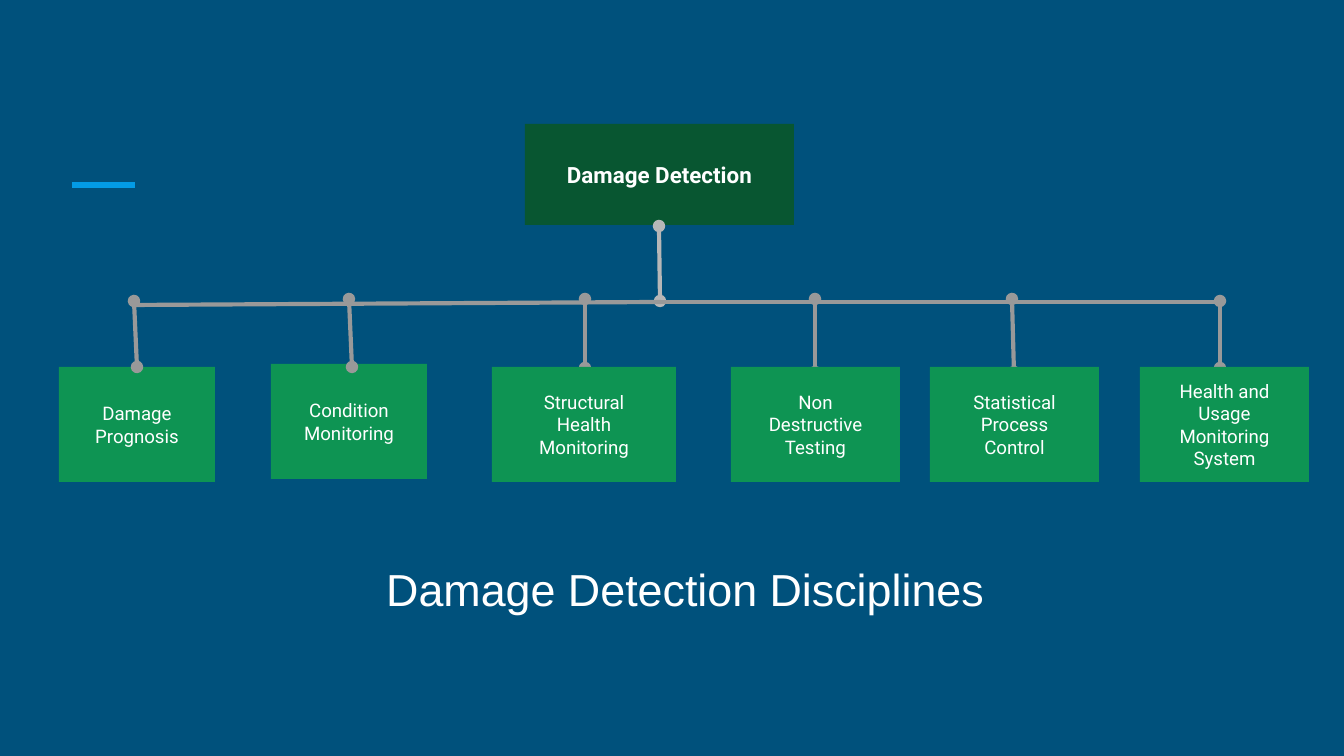
from lxml.etree import SubElement
from pptx import Presentation
from pptx.dml.color import RGBColor
from pptx.enum.shapes import MSO_CONNECTOR, MSO_SHAPE
from pptx.enum.text import MSO_ANCHOR, MSO_AUTO_SIZE, PP_ALIGN
from pptx.oxml.ns import qn
from pptx.util import Emu, Pt

EMU_PER_PX = 914400 / 134.4
INSET = 13
BACKGROUND, ACCENT, WHITE = "00517C", "039BE5", "FFFFFF"
ROOT_GREEN, GREEN = "085631", "0E9453"
STEM_GRAY, GRAY = "B7B7B7", "999999"

ROOT_BOX = (525, 124, 269, 101)
BOX_TOP, BOX_HEIGHT = 367, 115
BUS_START = (661, 302)
BUS_ENDS = [(132, 305), (1220, 302)]

# box left, top and width; ends of the drop line; lines of text
DISCIPLINES = [
    (59, BOX_TOP, 156, (134, 301), (137, 367), ["Damage", "Prognosis"]),
    (271, 364, 156, (349, 299), (352, 367), ["Condition", "Monitoring"]),
    (492, BOX_TOP, 184, (585, 299), (585, 368),
     ["Structural", "Health", "Monitoring"]),
    (731, BOX_TOP, 169, (815, 299), (815, 372),
     ["Non", "Destructive", "Testing"]),
    (930, BOX_TOP, 169, (1012, 299), (1014, 372),
     ["Statistical", "Process", "Control"]),
    (1140, BOX_TOP, 169, (1220, 301), (1220, 368),
     ["Health and", "Usage", "Monitoring", "System"]),
]


def px(length):
    return Emu(round(length * EMU_PER_PX))


def color(value):
    return RGBColor.from_string(value)


def write(shape, lines, font, size, bold=False, left_inset=INSET):
    """Fill a shape with centred white lines, one paragraph each."""
    frame = shape.text_frame
    frame.word_wrap = True
    frame.auto_size = MSO_AUTO_SIZE.NONE
    frame.vertical_anchor = MSO_ANCHOR.MIDDLE
    frame.margin_left = px(left_inset)
    frame.margin_right = frame.margin_top = frame.margin_bottom = px(INSET)
    frame.text = "\n".join(lines)
    for paragraph in frame.paragraphs:
        paragraph.alignment = PP_ALIGN.CENTER
        paragraph.font.name = font
        paragraph.font.size = Pt(size)
        paragraph.font.bold = bold
        paragraph.font.color.rgb = color(WHITE)


def add_title(page, text):
    title = page.shapes.title
    title.left, title.top = px(331), px(544)
    title.width, title.height = px(684), px(89)
    write(title, [text], "Arial", 24, left_inset=37)


def add_box(page, bounds, fill, lines, size, bold=False):
    box = page.shapes.add_shape(MSO_SHAPE.RECTANGLE, *map(px, bounds))
    box.shadow.inherit = False
    box.fill.solid()
    box.fill.fore_color.rgb = color(fill)
    box.line.fill.background()
    write(box, lines, "Roboto", size, bold)


def add_line(page, start, end, stroke, width=2.25, dots=False):
    """Draw a straight line, with round dots at both ends if asked."""
    line = page.shapes.add_connector(
        MSO_CONNECTOR.STRAIGHT, *map(px, start + end))
    line.line.color.rgb = color(stroke)
    line.line.width = Pt(width)
    if dots:
        outline = line.line._get_or_add_ln()
        for tag in ("a:headEnd", "a:tailEnd"):
            SubElement(outline, qn(tag), type="oval", w="med", len="med")
    SubElement(line._element.spPr, qn("a:effectLst"))


def add_disciplines(page, disciplines):
    for left, top, width, _, _, lines in disciplines:
        add_box(page, (left, top, width, BOX_HEIGHT), GREEN, lines, 10)


def main():
    deck = Presentation()
    deck.slide_width, deck.slide_height = px(1344), px(756)
    page = deck.slides.add_slide(deck.slide_layouts[5])
    page.background.fill.solid()
    page.background.fill.fore_color.rgb = color(BACKGROUND)

    add_line(page, (72, 185), (135, 185), ACCENT, width=3)
    add_title(page, "Damage Detection Disciplines")
    add_box(page, ROOT_BOX, ROOT_GREEN, ["Damage Detection"], 12, bold=True)

    # The first two boxes lie under the line ends, the others over them.
    add_disciplines(page, DISCIPLINES[:2])
    add_line(page, (659, 226), (660, 301), STEM_GRAY, dots=True)
    for end in BUS_ENDS:
        add_line(page, BUS_START, end, GRAY)
    for _, _, _, start, end, _ in DISCIPLINES:
        add_line(page, start, end, GRAY, dots=True)
    add_disciplines(page, DISCIPLINES[2:])

    deck.save("out.pptx")


if __name__ == "__main__":
    main()
